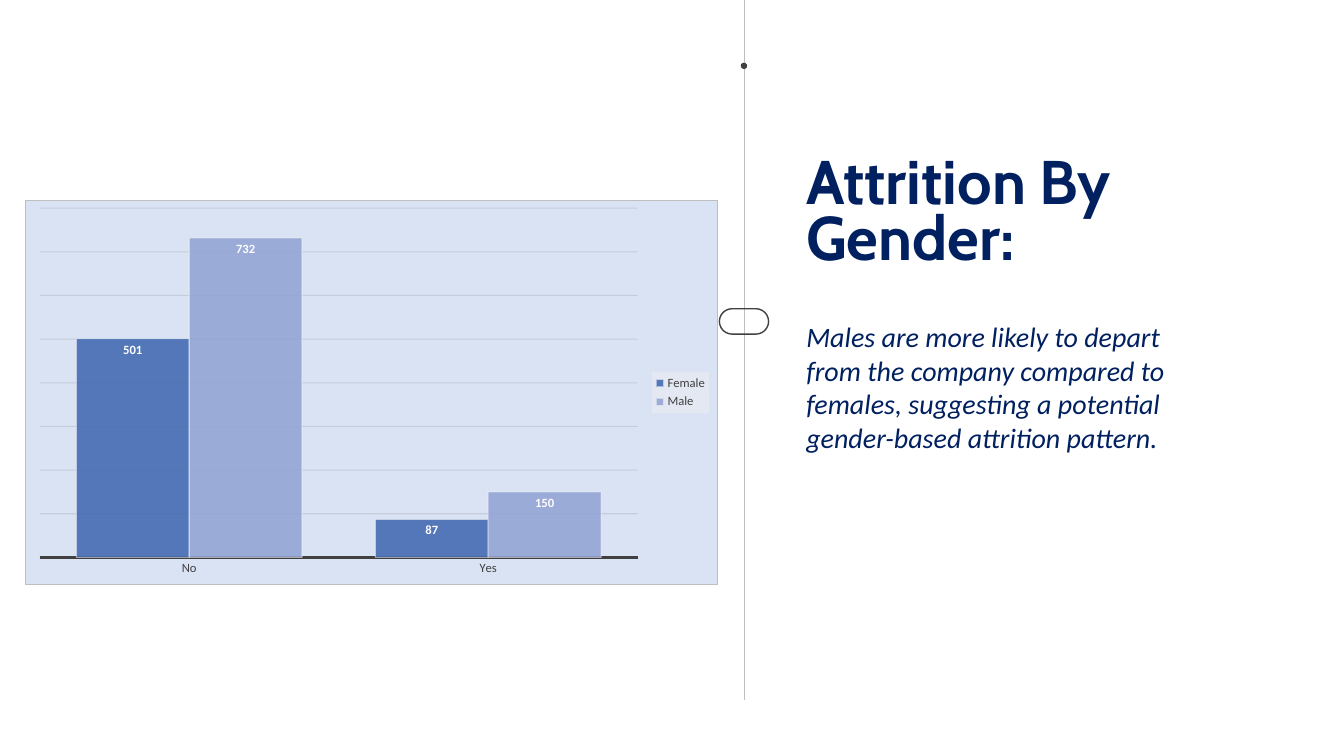
from lxml import etree
from pptx import Presentation
from pptx.chart.data import CategoryChartData
from pptx.dml.color import RGBColor
from pptx.enum.chart import (XL_CHART_TYPE, XL_LABEL_POSITION,
                             XL_LEGEND_POSITION, XL_TICK_MARK)
from pptx.enum.shapes import MSO_CONNECTOR, MSO_SHAPE
from pptx.oxml import parse_xml
from pptx.oxml.ns import nsdecls, qn
from pptx.util import Cm, Pt

COLUMNS = XL_CHART_TYPE.COLUMN_CLUSTERED
INSIDE_END = XL_LABEL_POSITION.INSIDE_END
LEGEND_RIGHT = XL_LEGEND_POSITION.RIGHT
NO_TICK = XL_TICK_MARK.NONE
STRAIGHT = MSO_CONNECTOR.STRAIGHT
ELLIPSE = MSO_SHAPE.OVAL
PILL = MSO_SHAPE.ROUNDED_RECTANGLE

NAVY, DARK, GREY, WHITE = "002060", "404040", "BFBFBF", "FFFFFF"


def color(hex_code):
    return RGBColor.from_string(hex_code)


def set_format(target, values):
    for name, value in values.items():
        setattr(target, name, value)


def set_alpha(element, percent):
    """Make every colour below the element partly transparent."""
    for rgb in element.iter(qn("a:srgbClr")):
        etree.SubElement(rgb, qn("a:alpha"), val=str(percent * 1000))


class SlideBuilder:
    heading_font = "Cabin"
    body_font = "Calibri"

    def __init__(self, slide):
        self.slide = slide

    def style_font(self, font, hex_code, size, name=body_font, **extra):
        set_format(font, {"name": name, "size": Pt(size), **extra})
        font.color.rgb = color(hex_code)

    def style_line(self, line, hex_code, width):
        line.color.rgb = color(hex_code)
        line.width = Pt(width)

    def box(self, left, top, width, height):
        return Cm(left), Cm(top), Cm(width), Cm(height)

    def line(self, x1, y1, x2, y2, hex_code, width):
        connector = self.slide.shapes.add_connector(
            STRAIGHT, *self.box(x1, y1, x2, y2))
        self.style_line(connector.line, hex_code, width)
        etree.SubElement(connector._element.spPr, qn("a:effectLst"))

    def shape(self, kind, box, fill=None, outline=None):
        shape = self.slide.shapes.add_shape(kind, *self.box(*box))
        shape.shadow.inherit = False
        if fill:
            shape.fill.solid()
            shape.fill.fore_color.rgb = color(fill)
        else:
            shape.fill.background()
        if outline:
            self.style_line(shape.line, outline, 1)
        else:
            shape.line.fill.background()
        return shape

    def text(self, box, text, size, spacing=None, **font):
        frame = self.slide.shapes.add_textbox(*self.box(*box)).text_frame
        set_format(frame, {"word_wrap": True, "margin_left": 0, "margin_top": 0,
                           "margin_right": 0, "margin_bottom": 0})
        paragraph = frame.paragraphs[0]
        paragraph.line_spacing = spacing
        run = paragraph.add_run()
        run.text = text
        self.style_font(run.font, NAVY, size, **font)

    def column_chart(self, box, categories, series_values, series_colors):
        data = CategoryChartData()
        data.categories = categories
        for name, values in series_values.items():
            data.add_series(name, values)
        chart = self.slide.shapes.add_chart(COLUMNS, *self.box(*box), data).chart
        self.style_font(chart.font, "000000", 10)
        chart.has_title = False
        self.style_axes(chart)
        self.style_legend(chart)

        # Columns and their labels
        plot = chart.plots[0]
        set_format(plot, {"gap_width": 65, "overlap": 0, "vary_by_categories": False})
        for series, hex_code in zip(plot.series, series_colors):
            series.format.fill.solid()
            series.format.fill.fore_color.rgb = color(hex_code)
            self.style_line(series.format.line, WHITE, 0.75)
            fill_part = series._element.spPr.find(qn("a:solidFill"))
            set_alpha(fill_part, 85)
            set_alpha(series._element.spPr.find(qn("a:ln")), 50)
            labels = series.data_labels
            set_format(labels, {"show_value": True, "position": INSIDE_END})
            self.style_font(labels.font, WHITE, 9, bold=True)

        # Chart background and plot position
        chart_part = chart._chartSpace.find(qn("c:chart"))
        chart_part.addnext(parse_xml(
            f'<c:spPr {nsdecls("c", "a")}>'
            '<a:solidFill><a:srgbClr val="DAE3F3"/></a:solidFill>'
            f'<a:ln w="{Pt(0.75)}"><a:solidFill><a:srgbClr val="{GREY}"/>'
            '</a:solidFill></a:ln></c:spPr>'))
        plot_area = chart_part.find(qn("c:plotArea"))
        for old_layout in plot_area.findall(qn("c:layout")):
            plot_area.remove(old_layout)
        layout = etree.Element(qn("c:layout"))
        manual = etree.SubElement(layout, qn("c:manualLayout"))
        settings = {"layoutTarget": "inner", "xMode": "edge", "yMode": "edge",
                    "x": "0.02", "y": "0.02", "w": "0.865", "h": "0.91"}
        for name, value in settings.items():
            etree.SubElement(manual, qn(f"c:{name}"), val=value)
        plot_area.insert(0, layout)

    def style_axes(self, chart):
        category_axis, value_axis = chart.category_axis, chart.value_axis
        set_format(category_axis, {"major_tick_mark": NO_TICK,
                                   "minor_tick_mark": NO_TICK})
        self.style_font(category_axis.tick_labels.font, DARK, 9)
        self.style_line(category_axis.format.line, DARK, 1.5)
        set_format(value_axis, {"visible": False, "minimum_scale": 0,
                                "maximum_scale": 800, "major_unit": 100,
                                "has_major_gridlines": True})
        self.style_line(value_axis.major_gridlines.format.line, "0D0D0D", 0.75)
        set_alpha(value_axis._element.find(qn("c:majorGridlines")), 10)

    def style_legend(self, chart):
        chart.has_legend = True
        legend = chart.legend
        set_format(legend, {"position": LEGEND_RIGHT, "include_in_layout": False})
        self.style_font(legend.font, DARK, 9)
        background = parse_xml(
            f'<c:spPr {nsdecls("c", "a")}><a:solidFill>'
            '<a:srgbClr val="F2F2F2"/></a:solidFill></c:spPr>')
        set_alpha(background, 39)
        legend._element.find(qn("c:overlay")).addnext(background)


def main():
    presentation = Presentation()
    set_format(presentation, {"slide_width": Cm(33.87), "slide_height": Cm(19.05)})
    builder = SlideBuilder(presentation.slides.add_slide(presentation.slide_layouts[6]))

    # Divider with its dot and pill
    divider_x = 18.75
    builder.line(divider_x, 0, divider_x, 17.65, GREY, 0.5)
    builder.shape(ELLIPSE, (divider_x - 0.08, 1.58, 0.16, 0.16), fill=DARK)
    pill = builder.shape(PILL, (divider_x - 0.62, 7.78, 1.24, 0.64), outline=DARK)
    pill.adjustments[0] = 0.5

    # Heading and finding
    builder.text((20.32, 4.06, 10, 2.84), "Attrition By Gender:", 44,
                 spacing=Pt(40), name=builder.heading_font, bold=True)
    builder.text((20.32, 8.05, 9.83, 3.43),
                 "Males are more likely to depart from the company compared to "
                 "females, suggesting a potential gender-based attrition pattern.",
                 20, italic=True)

    # Attrition by gender
    builder.column_chart((0.64, 5.04, 17.45, 9.7), ["No", "Yes"],
                         {"Female": [501, 87], "Male": [732, 150]},
                         ["3C65AE", "90A2D3"])

    presentation.save("out.pptx")


if __name__ == "__main__":
    main()
